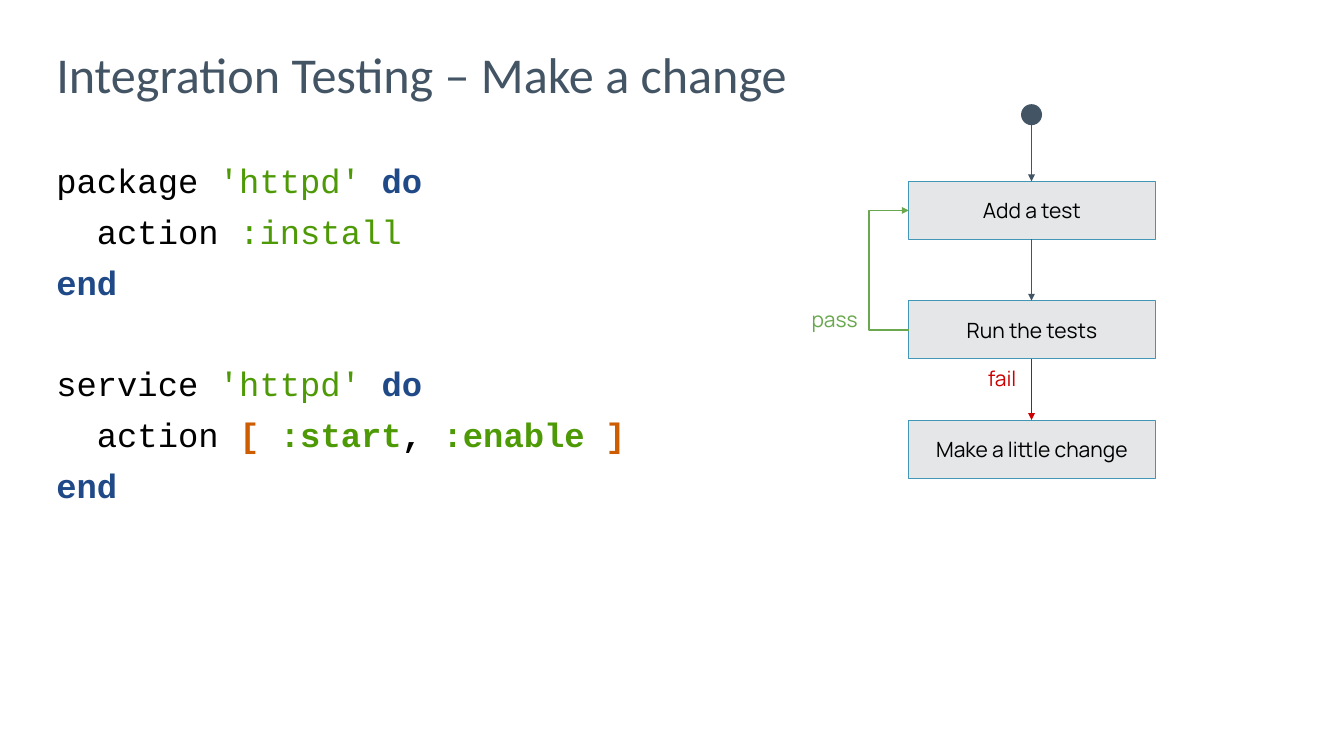
"""Build the slide on integration testing: a code listing beside a test loop."""
from typing import NamedTuple

from lxml import etree
from pptx import Presentation
from pptx.dml.color import RGBColor
from pptx.enum.shapes import MSO_CONNECTOR, MSO_SHAPE
from pptx.enum.text import MSO_ANCHOR, PP_ALIGN
from pptx.oxml.ns import qn
from pptx.util import Inches, Pt

RECTANGLE, OVAL = MSO_SHAPE.RECTANGLE, MSO_SHAPE.OVAL
STRAIGHT = MSO_CONNECTOR.STRAIGHT
TOP, MIDDLE = MSO_ANCHOR.TOP, MSO_ANCHOR.MIDDLE
LEFT, CENTER, RIGHT = PP_ALIGN.LEFT, PP_ALIGN.CENTER, PP_ALIGN.RIGHT

SLATE = RGBColor(0x43, 0x54, 0x64)
BLACK = RGBColor(0x00, 0x00, 0x00)
STRING_GREEN = RGBColor(0x4E, 0x9A, 0x06)
KEYWORD_BLUE = RGBColor(0x20, 0x4A, 0x87)
BRACKET_ORANGE = RGBColor(0xCE, 0x5C, 0x00)
STEP_GREY = RGBColor(0xE4, 0xE6, 0xE7)
STEP_BLUE = RGBColor(0x41, 0x97, 0xB5)
FAIL_RED = RGBColor(0xCC, 0x00, 0x00)
PASS_GREEN = RGBColor(0x6A, 0xA8, 0x4F)

STEP_LEFT, STEP_TOP, STEP_WIDTH, STEP_HEIGHT = 10.82, 2.16, 2.93, 0.69
STEP_PITCH = 1.42
STEPS = ["Add a test", "Run the tests", "Make a little change"]
AXIS = 12.28
LOOP_LEFT = 10.35
START_TOP, START_SIZE = 1.24, 0.25
CODE_GAP, CODE_BLOCK_GAP = 9.1, 51.1


class Token(NamedTuple):
    """A stretch of text in one colour and weight."""
    text: str
    color: RGBColor
    bold: bool = False


class Line(NamedTuple):
    """A paragraph of tokens and the points above it."""
    tokens: list[Token]
    gap: float = 0


class Label(NamedTuple):
    """A test result written beside its arrow."""
    text: str
    left: float
    top: float
    color: RGBColor


class Flow(NamedTuple):
    """A downward arrow on the axis of the steps."""
    start: float
    end: float
    color: RGBColor


DO = Token("do", KEYWORD_BLUE, True)
END = Line([Token("end", KEYWORD_BLUE, True)], CODE_GAP)
HTTPD = Token("'httpd' ", STRING_GREEN)
ACTION = Token("  action ", BLACK)
CODE = [
    Line([Token("package ", BLACK), HTTPD, DO]),
    Line([ACTION, Token(":install", STRING_GREEN)], CODE_GAP),
    END,
    Line([Token("service ", BLACK), HTTPD, DO], CODE_BLOCK_GAP),
    Line([ACTION, Token("[ ", BRACKET_ORANGE, True), Token(":start", STRING_GREEN, True),
          Token(", ", BLACK, True), Token(":enable ", STRING_GREEN, True),
          Token("]", BRACKET_ORANGE, True)], CODE_GAP),
    END,
]
LABELS = [Label("fail", 11.36, 4.37, FAIL_RED), Label("pass", 9.47, 3.67, PASS_GREEN)]


def step_top(index: int) -> float:
    """Return the top of a step."""
    return STEP_TOP + index * STEP_PITCH


def write(shape, lines: list[Line], *, size: float, font: str = "Manrope", align=LEFT,
          anchor=TOP, inset: float = 0, spacing: float = 1.0) -> None:
    """Fill a shape with formatted lines."""
    frame = shape.text_frame
    frame.word_wrap = True
    frame.vertical_anchor = anchor
    frame.margin_left = frame.margin_right = Inches(inset)
    frame.margin_top = frame.margin_bottom = 0
    for index, line in enumerate(lines):
        paragraph = frame.add_paragraph() if index else frame.paragraphs[0]
        paragraph.alignment = align
        paragraph.line_spacing = spacing
        paragraph.space_before = Pt(line.gap)
        for token in line.tokens:
            run = paragraph.add_run()
            run.text = token.text
            run.font.name = font
            run.font.size = Pt(size)
            run.font.bold = token.bold
            run.font.color.rgb = token.color


def text_area(slide, left: float, top: float, width: float, height: float):
    """Add an empty text box."""
    return slide.shapes.add_textbox(Inches(left), Inches(top), Inches(width), Inches(height))


def add_step(slide, text: str, top: float) -> None:
    """Draw one step of the test loop."""
    step = slide.shapes.add_shape(RECTANGLE, Inches(STEP_LEFT), Inches(top),
                                  Inches(STEP_WIDTH), Inches(STEP_HEIGHT))
    step.shadow.inherit = False
    step.fill.solid()
    step.fill.fore_color.rgb = STEP_GREY
    step.line.color.rgb = STEP_BLUE
    step.line.width = Pt(0.75)
    write(step, [Line([Token(text, BLACK)])], size=18, align=CENTER, anchor=MIDDLE, inset=0.18)


def style_arrow(arrow, color: RGBColor) -> None:
    """Colour a line and give its end a triangle."""
    arrow.line.color.rgb = color
    arrow.line.width = Pt(1.5)
    etree.SubElement(arrow.line._get_or_add_ln(), qn("a:tailEnd"), type="triangle")


def add_flow(slide, flow: Flow) -> None:
    """Draw a downward arrow between steps."""
    arrow = slide.shapes.add_connector(STRAIGHT, Inches(AXIS), Inches(flow.start),
                                       Inches(AXIS), Inches(flow.end))
    style_arrow(arrow, flow.color)
    etree.SubElement(arrow._element.spPr, qn("a:effectLst"))


def add_pass_loop(slide) -> None:
    """Draw the way back from running the tests to adding one."""
    add_y, run_y = (Inches(step_top(index) + STEP_HEIGHT / 2) for index in (0, 1))
    edge, turn = Inches(STEP_LEFT), Inches(LOOP_LEFT)
    outline = slide.shapes.build_freeform(edge, run_y)
    outline.add_line_segments([(turn, run_y), (turn, add_y), (edge, add_y)], close=False)
    loop = outline.convert_to_shape()
    loop.shadow.inherit = False
    loop.fill.background()
    style_arrow(loop, PASS_GREEN)


def add_start(slide) -> None:
    """Draw the starting dot."""
    dot = slide.shapes.add_shape(OVAL, Inches(AXIS - START_SIZE / 2), Inches(START_TOP),
                                 Inches(START_SIZE), Inches(START_SIZE))
    dot.shadow.inherit = False
    dot.fill.solid()
    dot.fill.fore_color.rgb = SLATE
    dot.line.fill.background()


def main() -> None:
    """Build and save the slide."""
    deck = Presentation()
    deck.slide_width, deck.slide_height = Inches(16), Inches(9)
    slide = deck.slides.add_slide(deck.slide_layouts[6])

    title = Token("Integration Testing – Make a change", SLATE)
    write(text_area(slide, 0.67, 0.6, 14.67, 0.67), [Line([title])],
          size=43, font="Calibri", spacing=0.9)
    write(text_area(slide, 0.67, 1.9, 8.51, 5.19), CODE, size=29, font="Courier New")

    for index, text in enumerate(STEPS):
        add_step(slide, text, step_top(index))
    for flow in (Flow(START_TOP + START_SIZE, step_top(0), SLATE),
                 Flow(step_top(0) + STEP_HEIGHT, step_top(1), SLATE),
                 Flow(step_top(1) + STEP_HEIGHT, step_top(2), FAIL_RED)):
        add_flow(slide, flow)
    add_pass_loop(slide)
    add_start(slide)
    for label in LABELS:
        write(text_area(slide, label.left, label.top, 0.92, 0.25),
              [Line([Token(label.text, label.color)])],
              size=18, align=RIGHT, anchor=MIDDLE, inset=0.18)
    deck.save("out.pptx")


if __name__ == "__main__":
    main()
